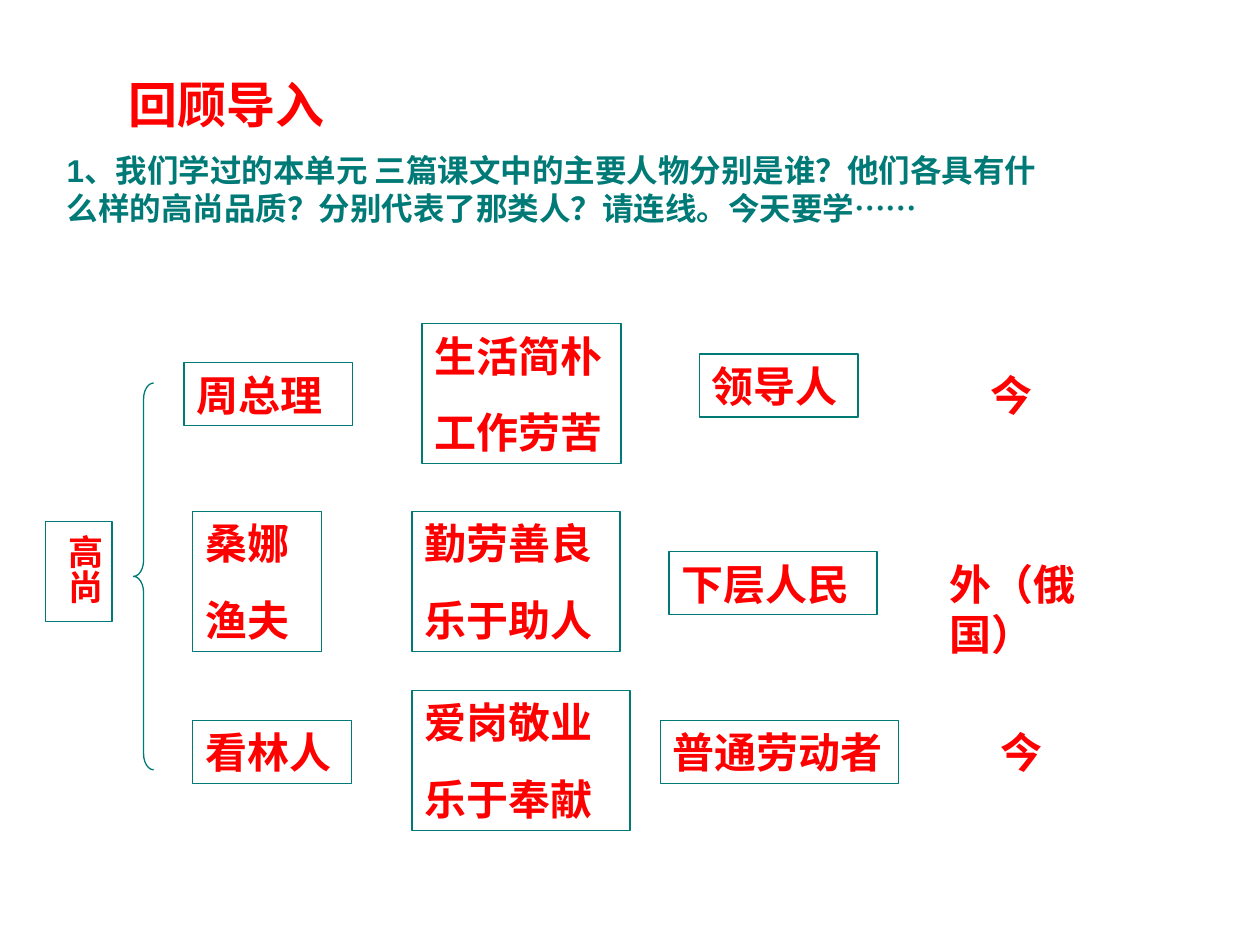
import pptx
import pptx.dml.color
import pptx.enum.shapes
import pptx.enum.text
import pptx.util

RED, TEAL = "FF0000", "007A77"
FONT = "Arial"
SLIDE_WIDTH, SLIDE_HEIGHT = 10, 7.5
LINE_HEIGHT, LINE_STEP = 0.5, 0.61

TITLE = "回顾导入"
QUESTION = ("1、我们学过的本单元 三篇课文中的主要人物分别是谁？他们各具有什么样的高尚品质？"
            "分别代表了那类人？请连线。今天要学……")
THEME = "高尚"

# One row per text: (lines, left, top, width) for each column
ROWS = [
    {"person": (["周总理"], 1.46, 2.88, 1.34),
     "quality": (["生活简朴", "工作劳苦"], 3.35, 2.57, 1.58),
     "group": (["领导人"], 5.55, 2.81, 1.26),
     "origin": (["今"], 7.76, 2.88, 0.87)},
    {"person": (["桑娜", "渔夫"], 1.53, 4.06, 1.02),
     "quality": (["勤劳善良", "乐于助人"], 3.27, 4.06, 1.65),
     "group": (["下层人民"], 5.31, 4.38, 1.65),
     "origin": (["外（俄国）"], 7.44, 4.38, 1.73)},
    {"person": (["看林人"], 1.53, 5.72, 1.26),
     "quality": (["爱岗敬业", "乐于奉献"], 3.27, 5.48, 1.73),
     "group": (["普通劳动者"], 5.24, 5.72, 1.89),
     "origin": (["今"], 7.84, 5.72, 1.02)},
]


def color(hex_string):
    return pptx.dml.color.RGBColor.from_string(hex_string)


def inches(*lengths):
    return [pptx.util.Inches(length) for length in lengths]


def write_text(shape, lines, size=24, hex_color=RED, wrap=True, insets=(0.1, 0.05)):
    frame = shape.text_frame
    frame.word_wrap = wrap
    frame.auto_size = pptx.enum.text.MSO_AUTO_SIZE.SHAPE_TO_FIT_TEXT
    frame.vertical_anchor = pptx.enum.text.MSO_ANCHOR.TOP
    frame.margin_left = frame.margin_right = pptx.util.Inches(insets[0])
    frame.margin_top = frame.margin_bottom = pptx.util.Inches(insets[1])
    frame.text = "\n".join(lines)
    for index, paragraph in enumerate(frame.paragraphs):
        paragraph.alignment = pptx.enum.text.PP_ALIGN.LEFT
        paragraph.space_before = pptx.util.Pt(15 if index else 0)
        for run in paragraph.runs:
            run.font.name = FONT
            run.font.size = pptx.util.Pt(size)
            run.font.bold = True
            run.font.color.rgb = color(hex_color)


def add_outline(slide, kind, *box):
    shape = slide.shapes.add_shape(kind, *inches(*box))
    shape.shadow.inherit = False
    shape.fill.background()
    shape.line.color.rgb = color(TEAL)
    shape.line.width = pptx.util.Pt(0.75)
    return shape


def main():
    presentation = pptx.Presentation()
    presentation.slide_width, presentation.slide_height = inches(SLIDE_WIDTH, SLIDE_HEIGHT)
    slide = presentation.slides.add_slide(presentation.slide_layouts[5])
    rectangle = pptx.enum.shapes.MSO_SHAPE.RECTANGLE

    # Title and question
    title = slide.shapes.title
    title.left, title.top, title.width, title.height = inches(0.92, 0.54, 1.84, 0.57)
    write_text(title, [TITLE], size=28, wrap=False)
    question = slide.shapes.add_textbox(*inches(0.43, 1.15, 8.03, 0.7))
    write_text(question, [QUESTION], size=18, hex_color=TEAL)

    # Persons, qualities and groups in frames; origins without
    for row in ROWS:
        for column, (lines, left, top, width) in row.items():
            height = LINE_HEIGHT + LINE_STEP * (len(lines) - 1)
            if column == "origin":
                shape = slide.shapes.add_textbox(*inches(left, top, width, height))
            else:
                shape = add_outline(slide, rectangle, left, top, width, height)
            write_text(shape, lines)

    # Brace and vertical theme word
    brace = add_outline(slide, pptx.enum.shapes.MSO_SHAPE.LEFT_BRACE, 1.06, 3.04, 0.16, 3.07)
    brace.adjustments[0] = 0.8
    theme = add_outline(slide, rectangle, 0.36, 4.14, 0.53, 0.79)
    write_text(theme, [THEME], size=20, insets=(0.05, 0.1))
    theme.text_frame._txBody.bodyPr.set("vert", "eaVert")

    presentation.save("out.pptx")


if __name__ == "__main__":
    main()
